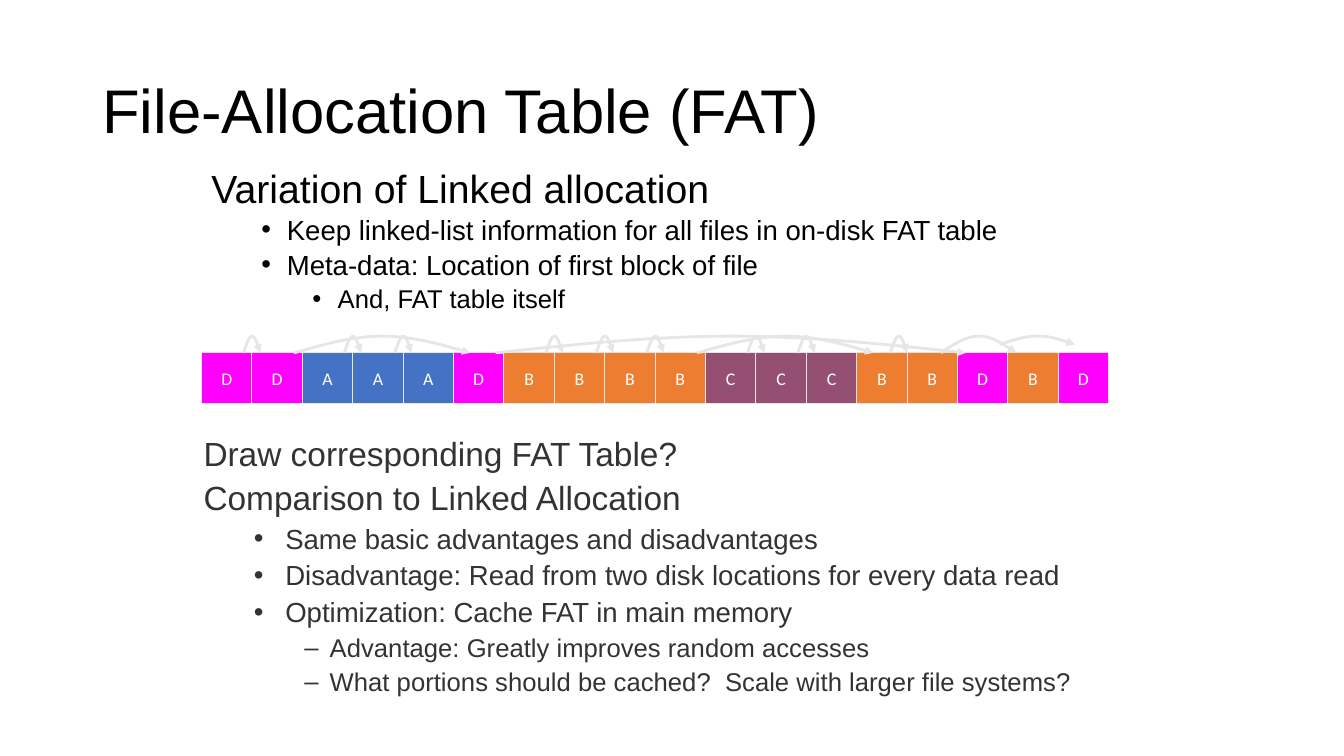
import pptx
import pptx.util
import pptx.dml.color
import pptx.enum.shapes
import pptx.enum.text
import pptx.oxml
import pptx.oxml.ns
from pptx.util import Cm

# Content: each text line is (style, text)
TITLE = [("title", "File-Allocation Table (FAT)")]
VARIATION = [
    ("heading", "Variation of Linked allocation"),
    ("point", "Keep linked-list information for all files in on-disk FAT table"),
    ("point", "Meta-data: Location of first block of file"),
    ("detail", "And, FAT table itself"),
]
COMPARISON = [
    ("question", "Draw corresponding FAT Table?"),
    ("question", "Comparison to Linked Allocation"),
    ("wide point", "Same basic advantages and disadvantages"),
    ("wide point", "Disadvantage: Read from two disk locations for every data read"),
    ("wide point", "Optimization: Cache FAT in main memory"),
    ("dash", "Advantage: Greatly improves random accesses"),
    ("dash", "What portions should be cached?  Scale with larger file systems?"),
]
DISK_BLOCKS = "DDAAADBBBBCCCBBDBD"
FILE_COLOURS = {"A": "4472C4", "B": "ED7D31", "C": "954F72", "D": "FF00FF"}
PALE = "E7E6E6"

# Links: short ones join neighbouring blocks, long ones are
# (start, end, height) in sixths of a block
SHORT_LINKS = [0, 2, 3, 6, 7, 8, 10, 11]
LONG_LINKS = [(82, 84, 2), (59, 80, 2), (88, 97, 2), (11, 32, 2), (35, 91, 2), (95, 104, 1)]

# Styles: size, space before (pt), left and hanging indent (cm), bullet
STYLES = {
    "title": (44, 0, 0, 0, None),
    "heading": (28, 0, 0.64, 0.64, None),
    "point": (19.7, 6, 1.9, 0.64, "•"),
    "detail": (18.3, 6, 3.18, 0.64, "•"),
    "question": (23.9, 6, 0.94, 0.94, None),
    "wide point": (19.7, 5, 2.06, 0.79, "•"),
    "dash": (18.3, 4.6, 3.18, 0.64, "–"),
}
# Boxes: lines, left, top, width, height (cm), line spacing, colour, anchor
ANCHOR = pptx.enum.text.MSO_ANCHOR
TEXT_BOXES = [
    (TITLE, (2.33, 1.02, 29.21, 3.68), 0.9, "000000", ANCHOR.MIDDLE),
    (VARIATION, (5.08, 4.24, 23.5, 4.01), 0.8, "000000", ANCHOR.TOP),
    (COMPARISON, (4.88, 10.9, 23.5, 7.42), 0.9, "333333", ANCHOR.TOP),
]

BLOCK = Cm(1.27)
ROW_LEFT, ROW_TOP, LINK_TOP = Cm(5.08), Cm(8.89), Cm(8.47)
SIXTH = BLOCK // 6


def colour(code):
    return pptx.dml.color.RGBColor.from_string(code)


def apply(target, values):
    for name, value in values.items():
        setattr(target, name, value)


def add_child(parent, tag, **attributes):
    child = pptx.oxml.ns.qn(tag)
    element = parent.makeelement(child, {key: str(value) for key, value in attributes.items()})
    parent.append(element)
    return element


def write(para, text, size, code, font):
    span = para.add_run()
    span.text = text
    apply(span.font, {"size": pptx.util.Pt(size), "name": font})
    span.font.color.rgb = colour(code)


def add_text_box(page, lines, place, spacing, code, anchor):
    box = page.shapes.add_textbox(*map(Cm, place))
    frame = box.text_frame
    apply(frame, {"word_wrap": True, "vertical_anchor": anchor})
    for index, (style, text) in enumerate(lines):
        para = frame.add_paragraph() if index else frame.paragraphs[0]
        size, before, left, hanging, bullet = STYLES[style]
        props = para._p.get_or_add_pPr()
        props.set("marL", str(int(Cm(left))))
        props.set("indent", str(-int(Cm(hanging))))
        if bullet:
            add_child(props, "a:buFont", typeface="Arial")
            add_child(props, "a:buChar", char=bullet)
        apply(para, {"line_spacing": spacing,
                     "space_before": pptx.util.Pt(before if index else 0)})
        write(para, text, size, code, "Arial")


def add_block(page, index, owner):
    box = page.shapes.add_shape(pptx.enum.shapes.MSO_SHAPE.RECTANGLE,
                                ROW_LEFT + index * BLOCK, ROW_TOP, BLOCK, BLOCK)
    box.shadow.inherit = False
    box.fill.solid()
    box.fill.fore_color.rgb = colour(FILE_COLOURS[owner])
    box.line.color.rgb = colour(PALE)
    box.line.width = pptx.util.Pt(0.75)
    apply(box.text_frame, {"word_wrap": False, "vertical_anchor": ANCHOR.MIDDLE})
    para = box.text_frame.paragraphs[0]
    para.alignment = pptx.enum.text.PP_ALIGN.CENTER
    write(para, owner, 12.7, "FFFFFF", "Calibri")


def add_link(page, start, end, height):
    left, width, rise = ROW_LEFT + start * SIXTH, (end - start) * SIXTH, height * SIXTH
    builder = page.shapes.build_freeform(left, LINK_TOP + rise)
    builder.add_line_segments([(left + width // 2, LINK_TOP),
                               (left + width, LINK_TOP + rise)], close=False)
    arc = builder.convert_to_shape()
    arc.shadow.inherit = False
    arc.fill.background()
    arc.line.color.rgb = colour(PALE)
    arc.line.width = pptx.util.Pt(2)
    add_child(arc.line._get_or_add_ln(), "a:tailEnd", type="triangle")
    # Bend the two straight halves into a smooth arch
    halves = [[(1, rise // 2), (2, 0), (3, 0)], [(4, 0), (5, rise // 2), (6, rise)]]
    for segment, points in zip(arc.element.xpath(".//a:lnTo"), halves):
        outline = segment.getparent()
        curve = add_child(outline, "a:cubicBezTo")
        for step, y in points:
            add_child(curve, "a:pt", x=step * width // 6, y=y)
        outline.remove(segment)


def main():
    deck = pptx.Presentation()
    apply(deck, {"slide_width": Cm(33.87), "slide_height": Cm(19.05)})
    page = deck.slides.add_slide(deck.slide_layouts[6])

    for text_box in TEXT_BOXES:
        add_text_box(page, *text_box)
    for index, owner in enumerate(DISK_BLOCKS):
        add_block(page, index, owner)
    short_links = [(6 * index + 5, 6 * index + 7, 2) for index in SHORT_LINKS]
    for link in short_links + LONG_LINKS:
        add_link(page, *link)

    deck.save("out.pptx")


if __name__ == "__main__":
    main()
